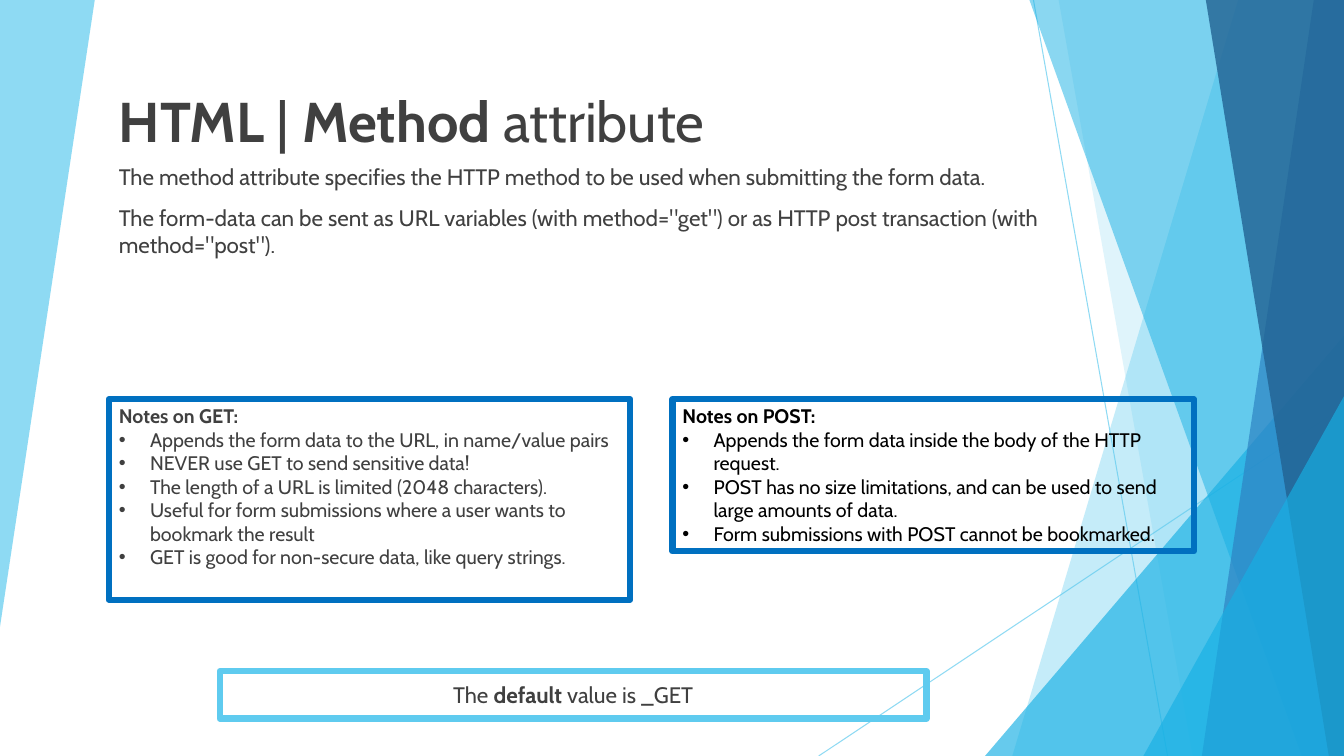
from dataclasses import dataclass
from typing import Optional

from lxml.etree import SubElement
from pptx import Presentation
from pptx.dml.color import RGBColor
from pptx.enum.shapes import MSO_CONNECTOR as Conn, MSO_SHAPE as Shape
from pptx.enum.text import MSO_ANCHOR as Anchor, PP_ALIGN as Align
from pptx.oxml.ns import qn
from pptx.util import Inches, Pt


@dataclass(frozen=True)
class Theme:
    font: str = "Cabin"
    text: str = "404040"
    black: str = "000000"
    sky: str = "5FCBEF"
    cyan: str = "17B0E4"
    blue: str = "2E83C3"
    navy: str = "226292"
    border: str = "0070C0"
    title: int = 40
    body: int = 16
    note: int = 14
    thick: float = 4.5
    thin: float = 0.75


T = Theme()
W, H = 13.33, 7.5


@dataclass(frozen=True)
class Facet:
    points: tuple[tuple[float, float], ...]
    color: str
    alpha: int


@dataclass(frozen=True)
class Triangle:
    left: float
    top: float
    color: str = T.cyan
    alpha: int = 66


@dataclass(frozen=True)
class Ray:
    start: tuple[float, float]
    end: tuple[float, float]
    color: str = T.sky
    alpha: int = 70


@dataclass(frozen=True)
class Note:
    left: float
    height: float
    color: str
    heading: str
    items: tuple[str, ...]


def right_facet(top: float, bottom: float, color: str, alpha: int) -> Facet:
    return Facet(((top, 0), (W, 0), (W, H), (bottom, H)), color, alpha)


BACKDROP = (
    Facet(((0, 0), (0.94, 0), (0, 6.22)), T.sky, 70),
    Ray((10.25, 0), (11.58, H)),
    Ray((W, 4.03), (8.12, H)),
    right_facet(12.28, 10.04, T.sky, 36),
    right_facet(10.5, 11.83, T.sky, 20),
    Triangle(9.77, 3.33),
    right_facet(10.21, 12.91, T.cyan, 50),
    right_facet(13.03, 11.92, T.blue, 70),
    right_facet(11.96, 13.18, T.navy, 80),
    Triangle(11.34, 3.93),
)

NOTES = (
    Note(1.08, 1.99, T.text, "Notes on GET:", (
        "Appends the form data to the URL, in name/value pairs",
        "NEVER use GET to send sensitive data!",
        "The length of a URL is limited (2048 characters).",
        "Useful for form submissions where a user wants to bookmark the result",
        "GET is good for non-secure data, like query strings.",
    )),
    Note(6.67, 1.51, T.black, "Notes on POST:", (
        "Appends the form data inside the body of the HTTP request.",
        "POST has no size limitations, and can be used to send large amounts of data.",
        "Form submissions with POST cannot be bookmarked.",
    )),
)


def paint(fmt, color: str, alpha: int) -> None:
    fmt.solid()
    fmt.fore_color.rgb = RGBColor.from_string(color)
    clr = fmt._xPr.find(qn("a:solidFill"))[0]
    SubElement(clr, qn("a:alpha"), val=str(alpha * 1000))


def draw(s, item: Facet | Triangle | Ray) -> None:
    if isinstance(item, Ray):
        ends = [Inches(v) for v in (*item.start, *item.end)]
        cx = s.shapes.add_connector(Conn.STRAIGHT, *ends)
        cx.line.width = Pt(T.thin)
        paint(cx.line.fill, item.color, item.alpha)
        SubElement(cx._element.spPr, qn("a:effectLst"))
        return
    if isinstance(item, Triangle):
        sp = s.shapes.add_shape(Shape.ISOSCELES_TRIANGLE, Inches(item.left), Inches(item.top),
                                Inches(W - item.left), Inches(H - item.top))
        sp.adjustments[0] = 1
    else:
        first, *rest = [(Inches(x), Inches(y)) for x, y in item.points]
        builder = s.shapes.build_freeform(*first)
        builder.add_line_segments(rest, close=True)
        sp = builder.convert_to_shape()
    paint(sp.fill, item.color, item.alpha)
    sp.line.fill.background()
    sp.shadow.inherit = False


def add_bullet(p) -> None:
    pPr = p._p.get_or_add_pPr()
    pPr.set("marL", str(Inches(0.31)))
    pPr.set("indent", str(-Inches(0.31)))
    SubElement(pPr, qn("a:buFont"), typeface="Arial")
    SubElement(pPr, qn("a:buChar"), char="•")


def write(tf, text: str, *, size: int, color: str = T.text, align: Align = Align.LEFT,
          before: int = 0, bullet: bool = False) -> None:
    p = tf.paragraphs[0]
    if p.runs:
        p = tf.add_paragraph()
        p.space_before = Pt(before)
    p.alignment = align
    if bullet:
        add_bullet(p)
    for i, part in enumerate(text.split("**")):
        if part:
            r = p.add_run()
            r.text = part
            r.font.name = T.font
            r.font.size = Pt(size)
            r.font.bold = i % 2 == 1
            r.font.color.rgb = RGBColor.from_string(color)


def add_box(s, left: float, top: float, width: float, height: float, *,
            border: Optional[str] = None, anchor: Anchor = Anchor.TOP):
    place = [Inches(v) for v in (left, top, width, height)]
    if border:
        sp = s.shapes.add_shape(Shape.RECTANGLE, *place)
        sp.fill.background()
        sp.line.color.rgb = RGBColor.from_string(border)
        sp.line.width = Pt(T.thick)
        sp.shadow.inherit = False
    else:
        sp = s.shapes.add_textbox(*place)
    tf = sp.text_frame
    tf.word_wrap = True
    tf.vertical_anchor = anchor
    return tf


def main() -> None:
    prs = Presentation()
    prs.slide_width, prs.slide_height = Inches(W), Inches(H)
    s = prs.slides.add_slide(prs.slide_layouts[6])

    for item in BACKDROP:
        draw(s, item)

    tf = add_box(s, 1.08, 1.57, 10.17, 1.15)
    for text in (
        "The method attribute specifies the HTTP method to be used when submitting the form data.",
        'The form-data can be sent as URL variables (with method="get") '
        'or as HTTP post transaction (with method="post").',
    ):
        write(tf, text, size=T.body, before=10)

    tf = add_box(s, 1.08, 0.51, 9.21, 1.06, anchor=Anchor.BOTTOM)
    write(tf, "**HTML** | **Method **attribute", size=T.title)

    tf = add_box(s, 2.18, 6.66, 7.01, 0.47, border=T.sky, anchor=Anchor.MIDDLE)
    write(tf, "The **default** value is _GET", size=T.body, align=Align.CENTER)

    for note in NOTES:
        tf = add_box(s, note.left, 3.96, 5.17, note.height, border=T.border)
        write(tf, f"**{note.heading}**", size=T.note, color=note.color)
        for text in note.items:
            write(tf, text, size=T.note, color=note.color, bullet=True)

    prs.save("out.pptx")


if __name__ == "__main__":
    main()
